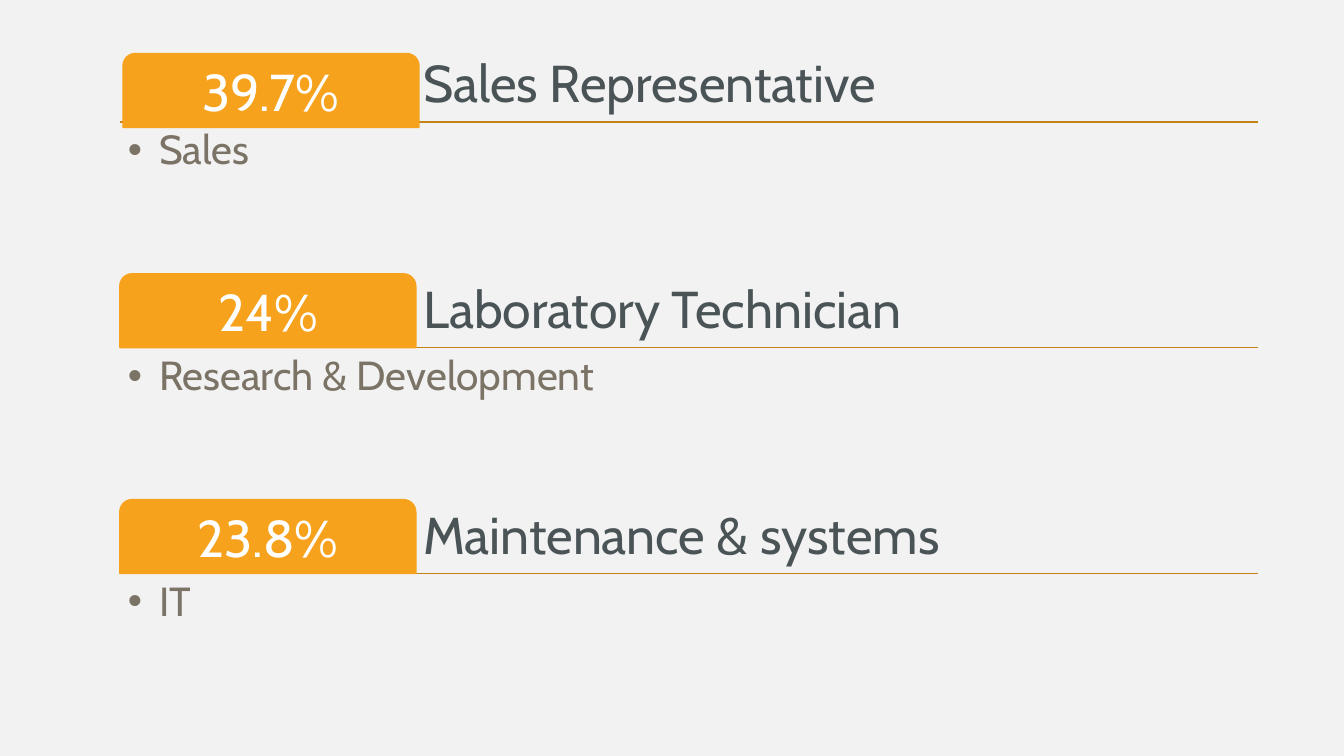
from lxml.etree import SubElement
from pptx import Presentation
from pptx.dml.color import RGBColor
from pptx.enum.shapes import MSO_CONNECTOR, MSO_SHAPE
from pptx.enum.text import MSO_ANCHOR, MSO_AUTO_SIZE, PP_ALIGN
from pptx.oxml.ns import qn
from pptx.util import Cm, Pt


def rgb(code):
    return RGBColor.from_string(code)


def write(holder, text, size, color, anchor, align=PP_ALIGN.LEFT):
    frame = holder.text_frame
    frame.word_wrap = True
    frame.auto_size = MSO_AUTO_SIZE.NONE
    frame.vertical_anchor = anchor
    frame.margin_left = frame.margin_right = Cm(0.2)
    frame.margin_top = frame.margin_bottom = Cm(0.2)
    paragraph = frame.paragraphs[0]
    paragraph.alignment = align
    paragraph.line_spacing = 0.9
    paragraph.space_before = Pt(0)
    run = paragraph.add_run()
    run.text = text
    run.font.name = "Cabin"
    run.font.size = Pt(size)
    run.font.bold = False
    run.font.color.rgb = rgb(color)
    return paragraph


deck = Presentation()
deck.slide_width = Cm(33.87)
deck.slide_height = Cm(19.05)
slide = deck.slides.add_slide(deck.slide_layouts.get_by_name("Comparison"))
slide.background.fill.solid()
slide.background.fill.fore_color.rgb = rgb("F2F2F2")

left, width = 3.02, 28.68
first_rule, pitch = 3.07, 5.69
header_height, badge_width = 1.86, 7.46
job_left = 10.47

roles = [
    ("39.7%", "Sales Representative", "Sales", 0.08, 0.14),
    ("24%", "Laboratory Technician", "Research & Development", 0, 0),
    ("23.8%", "Maintenance & systems", "IT", 0, 0),
]
departments = list(slide.placeholders)[1:4]
for unused in (slide.shapes.title, list(slide.placeholders)[4]):
    unused.element.getparent().remove(unused.element)

for row, (share, job, department, shift_x, shift_y) in enumerate(roles):
    rule_y = first_rule + row * pitch
    header_top = rule_y - header_height

    rule = slide.shapes.add_connector(
        MSO_CONNECTOR.STRAIGHT, Cm(left), Cm(rule_y), Cm(left + width), Cm(rule_y))
    rule.line.color.rgb = rgb("C58217")
    rule.line.width = Pt(1)
    SubElement(rule.element.spPr, qn("a:effectLst"))

    heading = slide.shapes.add_textbox(
        Cm(job_left), Cm(header_top), Cm(left + width - job_left), Cm(header_height))
    write(heading, job, 37, "4A5356", MSO_ANCHOR.BOTTOM)

    badge = slide.shapes.add_shape(
        MSO_SHAPE.ROUND_2_SAME_RECTANGLE, Cm(left + shift_x), Cm(header_top + shift_y),
        Cm(badge_width), Cm(header_height))
    badge.adjustments[0] = 0.167
    badge.shadow.inherit = False
    badge.fill.solid()
    badge.fill.fore_color.rgb = rgb("F6A21D")
    badge.line.color.rgb = rgb("F6A21D")
    badge.line.width = Pt(1)
    write(badge, share, 37, "FFFFFF", MSO_ANCHOR.MIDDLE, PP_ALIGN.CENTER)
    badge.text_frame.margin_top = Cm(0.3)

    body = departments[row]
    body.left, body.top = Cm(left), Cm(rule_y)
    body.width, body.height = Cm(width), Cm(3.73)
    item = write(body, department, 29, "7B7366", MSO_ANCHOR.TOP)
    properties = item._p.get_or_add_pPr()
    properties.set("marL", str(Cm(0.79)))
    properties.set("indent", str(Cm(-0.79)))
    SubElement(properties, qn("a:buFont"), typeface="Arial")
    SubElement(properties, qn("a:buChar"), char="•")

deck.save("out.pptx")
